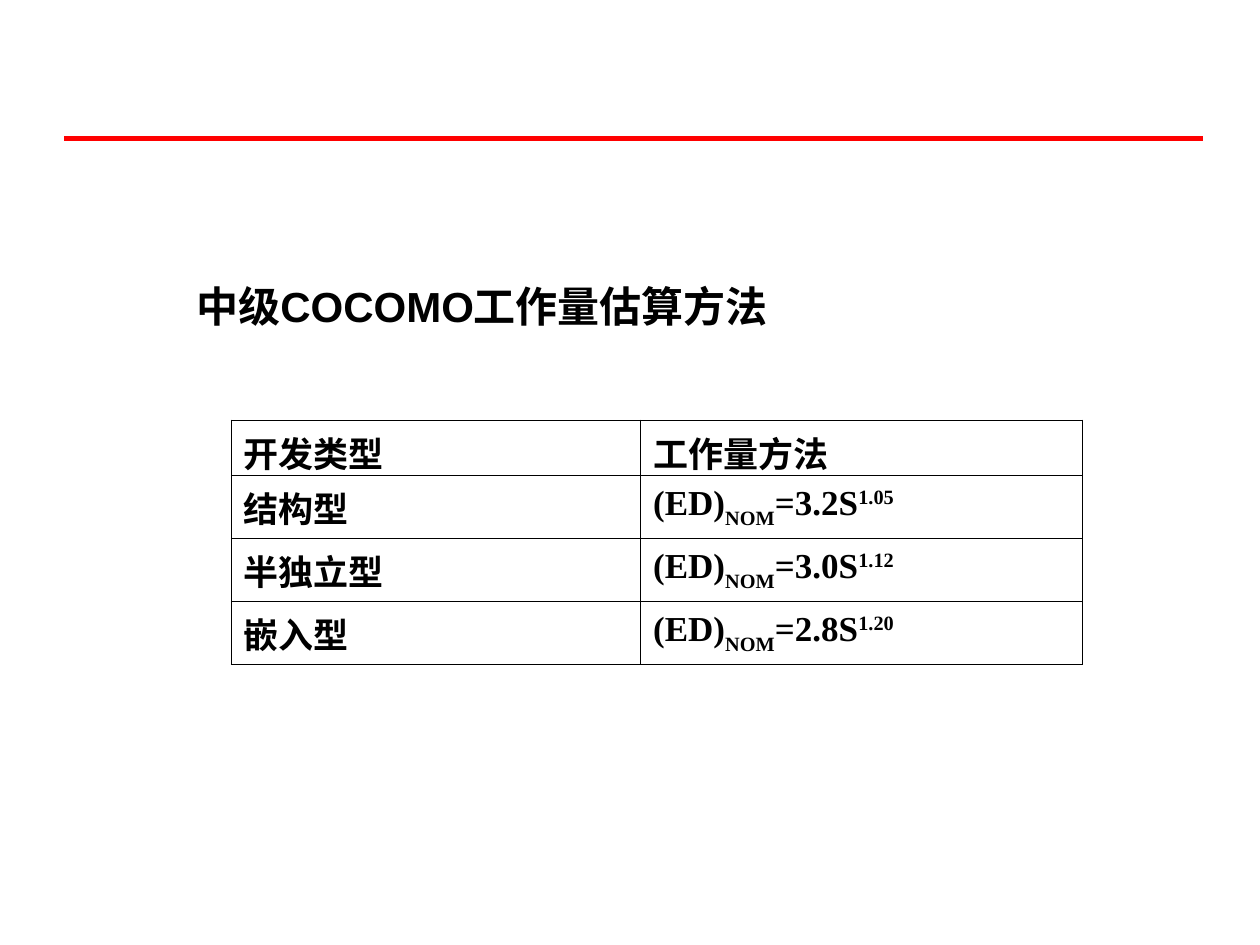
"""Build the slide on intermediate COCOMO effort estimation."""
from lxml.etree import SubElement
from pptx import Presentation
from pptx.dml.color import RGBColor
from pptx.enum.shapes import MSO_CONNECTOR
from pptx.enum.text import MSO_ANCHOR, MSO_AUTO_SIZE
from pptx.oxml.ns import qn
from pptx.util import Pt

BLACK = RGBColor(0, 0, 0)
RED = RGBColor(255, 0, 0)

TITLE = "中级COCOMO工作量估算方法"
HEADER = ("开发类型", "工作量方法")
MODELS = [("结构型", "3.2", "1.05"), ("半独立型", "3.0", "1.12"), ("嵌入型", "2.8", "1.20")]
COL_WIDTHS = (234, 252.5)
ROW_HEIGHTS = (31.5, 36, 36, 36)
OUTER_SIDE, INNER, HEAVY = 0.34, 0.45, 0.96


def add_text(p, text, size=20, font="Times New Roman", color=BLACK, bold=True, baseline=0):
    r = p.add_run()
    r.text = text
    r.font.size = Pt(size)
    r.font.name = font
    r.font.bold = bold
    r.font.color.rgb = color
    if baseline:
        r._r.get_or_add_rPr().set("baseline", str(baseline * 1000))


def set_borders(cell, **widths):
    tcPr = cell._tc.get_or_add_tcPr()
    for side, width in widths.items():
        ln = SubElement(tcPr, qn(f"a:ln{side}"), w=str(Pt(width)))
        fill = SubElement(ln, qn("a:solidFill"))
        SubElement(fill, qn("a:srgbClr"), val=str(BLACK))


def add_rule(s):
    line = s.shapes.add_connector(MSO_CONNECTOR.STRAIGHT, Pt(36.7), Pt(79.2), Pt(687.6), Pt(79.2))
    line.line.color.rgb = RED
    line.line.width = Pt(3)
    SubElement(line._element.spPr, qn("a:effectLst"))


def add_title(s):
    tf = s.shapes.add_textbox(Pt(105.1), Pt(157), Pt(538.6), Pt(36)).text_frame
    tf.word_wrap = True
    tf.auto_size = MSO_AUTO_SIZE.SHAPE_TO_FIT_TEXT
    p = tf.paragraphs[0]
    pPr = p._p.get_or_add_pPr()
    pPr.set("marL", str(Pt(36)))
    pPr.set("indent", str(-Pt(36)))
    add_text(p, TITLE, size=24, font="Arial")


def add_model_table(s):
    rows = [[[(label, 0)] for label in HEADER]]
    for name, factor, power in MODELS:
        formula = [("(ED)", 0), ("NOM", -30), (f"={factor}S", 0), (power, 30)]
        rows.append([[(name, 0)], formula])
    table = s.shapes.add_table(len(rows), len(COL_WIDTHS), Pt(132), Pt(240.2),
                               Pt(sum(COL_WIDTHS)), Pt(sum(ROW_HEIGHTS))).table
    table.first_row = table.horz_banding = False
    for column, width in zip(table.columns, COL_WIDTHS):
        column.width = Pt(width)
    last = len(rows) - 1
    for i, (row, height) in enumerate(zip(rows, ROW_HEIGHTS)):
        table.rows[i].height = Pt(height)
        for j, parts in enumerate(row):
            cell = table.cell(i, j)
            cell.vertical_anchor = MSO_ANCHOR.MIDDLE
            set_borders(cell, L=INNER if j else OUTER_SIDE, R=OUTER_SIDE if j else INNER,
                        T=HEAVY if i < 2 else INNER, B=HEAVY if i in (0, last) else INNER)
            cell.fill.background()
            for text, baseline in parts:
                add_text(cell.text_frame.paragraphs[0], text, baseline=baseline)


def main():
    prs = Presentation()
    prs.slide_width, prs.slide_height = Pt(720), Pt(540)
    s = prs.slides.add_slide(prs.slide_layouts[6])
    add_rule(s)
    add_title(s)
    add_model_table(s)
    prs.save("out.pptx")


if __name__ == "__main__":
    main()
